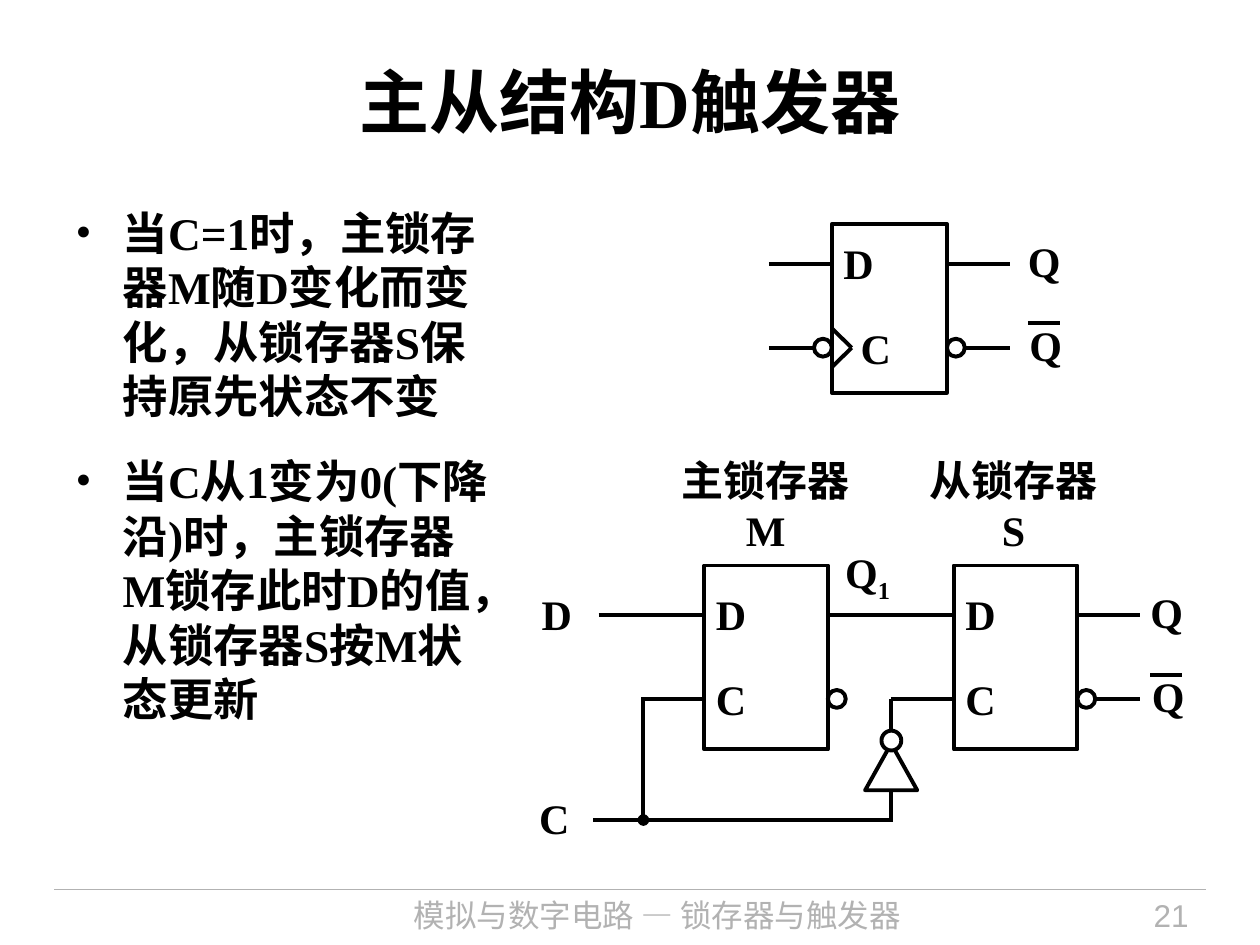
"""Build the slide on the master-slave D flip-flop."""
from lxml.etree import SubElement
from pptx import Presentation
from pptx.dml.color import RGBColor
from pptx.enum.shapes import MSO_CONNECTOR, MSO_SHAPE
from pptx.enum.text import MSO_ANCHOR, MSO_AUTO_SIZE, PP_ALIGN as Align
from pptx.oxml.ns import qn
from pptx.util import Cm, Pt

COLORS = {"ink": "000000", "paper": "FFFFFF", "footer": "B2B2B2"}
SERIF = "Times New Roman"
CHINESE = "Noto Sans CJK SC"
BUBBLE = 0.36
LEAD = 1.27
BULLETS = [
    "当C=1时，主锁存器M随D变化而变化，从锁存器S保持原先状态不变",
    "当C从1变为0(下降沿)时，主锁存器M锁存此时D的值，从锁存器S按M状态更新",
]


def color(name):
    return RGBColor.from_string(COLORS[name])


def write(paragraph, text, size=24, font=SERIF, ink="ink", bold=True,
          align=Align.LEFT, subscript=False):
    paragraph.alignment = align
    run = paragraph.add_run()
    run.text = text
    run.font.size = Pt(size)
    run.font.bold = bold
    run.font.name = font
    run.font.color.rgb = color(ink)
    properties = run._r.get_or_add_rPr()
    SubElement(properties, qn("a:ea")).set("typeface", CHINESE)
    if subscript:
        properties.set("baseline", "-25000")


def add_text(slide, left, top, width, height, *lines, wrap=False, **style):
    box = slide.shapes.add_textbox(Cm(left), Cm(top), Cm(width), Cm(height))
    frame = box.text_frame
    frame.word_wrap = wrap
    for index, line in enumerate(lines):
        paragraph = frame.add_paragraph() if index else frame.paragraphs[0]
        write(paragraph, line, **style)
    return frame


def add_label(slide, left, top, text, width=1.14):
    return add_text(slide, left, top, width, 1.27, text)


def add_line(slide, x1, y1, x2, y2, ink="ink", width=2.25, dot=False):
    line = slide.shapes.add_connector(
        MSO_CONNECTOR.STRAIGHT, Cm(x1), Cm(y1), Cm(x2), Cm(y2))
    line.line.color.rgb = color(ink)
    line.line.width = Pt(width)
    if dot:
        SubElement(line.line._get_or_add_ln(), qn("a:tailEnd")).set("type", "oval")
    SubElement(line._element.spPr, qn("a:effectLst"))


def add_outline(slide, kind, left, top, width, height, filled=True, rotation=0):
    shape = slide.shapes.add_shape(kind, Cm(left), Cm(top), Cm(width), Cm(height))
    shape.shadow.inherit = False
    shape.rotation = rotation
    if filled:
        shape.fill.solid()
        shape.fill.fore_color.rgb = color("paper")
    else:
        shape.fill.background()
    shape.line.color.rgb = color("ink")
    shape.line.width = Pt(2.25)


def add_bubble(slide, left, middle, size=BUBBLE):
    add_outline(slide, MSO_SHAPE.OVAL, left, middle - size / 2, size, size)


def add_block(slide, left, top, width, height, d_y, c_y, d_lead=LEAD,
              c_indent=0, inverted_lead=True):
    right = left + width
    add_outline(slide, MSO_SHAPE.RECTANGLE, left, top, width, height, filled=False)
    add_line(slide, left - d_lead, d_y, left, d_y)
    add_line(slide, left - LEAD, c_y, left, c_y)
    add_line(slide, right, d_y, right + LEAD, d_y)
    if inverted_lead:
        add_line(slide, right, c_y, right + LEAD, c_y)
    add_bubble(slide, right, c_y)
    add_label(slide, left - 0.02, d_y - 0.66, "D")
    add_label(slide, left - 0.02 + c_indent, c_y - 0.63, "C")


def add_outputs(slide, left, d_y, c_y):
    add_label(slide, left, d_y - 0.7, "Q")
    add_label(slide, left + 0.03, c_y - 0.7, "Q")
    add_line(slide, left + 0.25, c_y - 0.49, left + 0.89, c_y - 0.49)


def add_symbol(slide):
    left, d_y, c_y = 16.77, 5.33, 7.01
    add_block(slide, left, 4.52, 2.32, 3.4, d_y, c_y, c_indent=0.35)
    add_outputs(slide, 20.47, d_y, c_y)
    for offset in (-0.39, 0.39):
        add_line(slide, left, c_y + offset, left + 0.4, c_y)
    add_bubble(slide, left - BUBBLE, c_y)


def add_circuit(slide):
    d_y, c_y, clock_y = 12.4, 14.09, 16.53
    master, slave, inverter = 14.2, 19.23, 17.97
    add_block(slide, master, 11.4, 2.49, 3.71, d_y, c_y, d_lead=2.13,
              inverted_lead=False)
    add_block(slide, slave, 11.4, 2.49, 3.71, d_y, c_y)
    add_outputs(slide, 22.94, d_y, c_y)
    for left, name, letter in ((13.49, "主锁存器", "M"), (18.49, "从锁存器", "S")):
        add_text(slide, left, 9.03, 3.89, 2.29, name, letter, align=Align.CENTER)
    middle_label = add_label(slide, 16.79, 10.9, "Q", width=1.6)
    write(middle_label.paragraphs[0], "1", subscript=True)
    add_line(slide, 11.96, clock_y, inverter + 0.03, clock_y)
    add_line(slide, inverter, c_y, inverter, clock_y)
    add_line(slide, 12.97, c_y, 12.97, clock_y, dot=True)
    add_outline(slide, MSO_SHAPE.FLOWCHART_MERGE, inverter - 0.53, 14.99, 1.05, 0.94,
                rotation=180)
    add_bubble(slide, inverter - 0.2, 14.93, size=0.4)
    add_label(slide, 10.67, d_y - 0.66, "D")
    add_label(slide, 10.62, 15.85, "C")


def place(shape, left, top, width, height):
    shape.left, shape.top = Cm(left), Cm(top)
    shape.width, shape.height = Cm(width), Cm(height)
    shape.text_frame.auto_size = MSO_AUTO_SIZE.NONE
    return shape.text_frame


def add_bullet(paragraph):
    properties = paragraph._p.get_or_add_pPr()
    properties.set("marL", str(Cm(0.95)))
    properties.set("indent", str(-Cm(0.95)))
    SubElement(properties, qn("a:buFont")).set("typeface", SERIF)
    SubElement(properties, qn("a:buChar")).set("char", "•")


def fill_placeholders(slide):
    title = place(slide.shapes.title, 1.27, 0.43, 22.86, 3.18)
    title.vertical_anchor = MSO_ANCHOR.MIDDLE
    write(title.paragraphs[0], "主从结构D触发器", size=40, align=Align.CENTER)
    body = place(slide.placeholders[1], 1.27, 4.01, 8.84, 13.69)
    for index, text in enumerate(BULLETS):
        paragraph = body.add_paragraph() if index else body.paragraphs[0]
        add_bullet(paragraph)
        paragraph.space_before = Pt(10.5 if index else 0)
        paragraph.space_after = Pt(7)
        write(paragraph, text, size=25.9)


def add_footer(slide):
    style = {"size": 18, "ink": "footer", "bold": False, "wrap": True}
    add_line(slide, 1.09, 17.93, 24.31, 17.93, ink="footer", width=0.75)
    add_text(slide, 6.1, 17.93, 14.3, 1.12, "模拟与数字电路 — 锁存器与触发器",
             font=CHINESE, align=Align.CENTER, **style)
    add_text(slide, 20.83, 17.93, 3.38, 1.12, "21", font="Arial",
             align=Align.RIGHT, **style)


def main():
    presentation = Presentation()
    presentation.slide_width, presentation.slide_height = Cm(25.4), Cm(19.05)
    slide = presentation.slides.add_slide(presentation.slide_layouts[1])
    fill_placeholders(slide)
    add_footer(slide)
    add_circuit(slide)
    add_symbol(slide)
    presentation.save("out.pptx")


if __name__ == "__main__":
    main()
